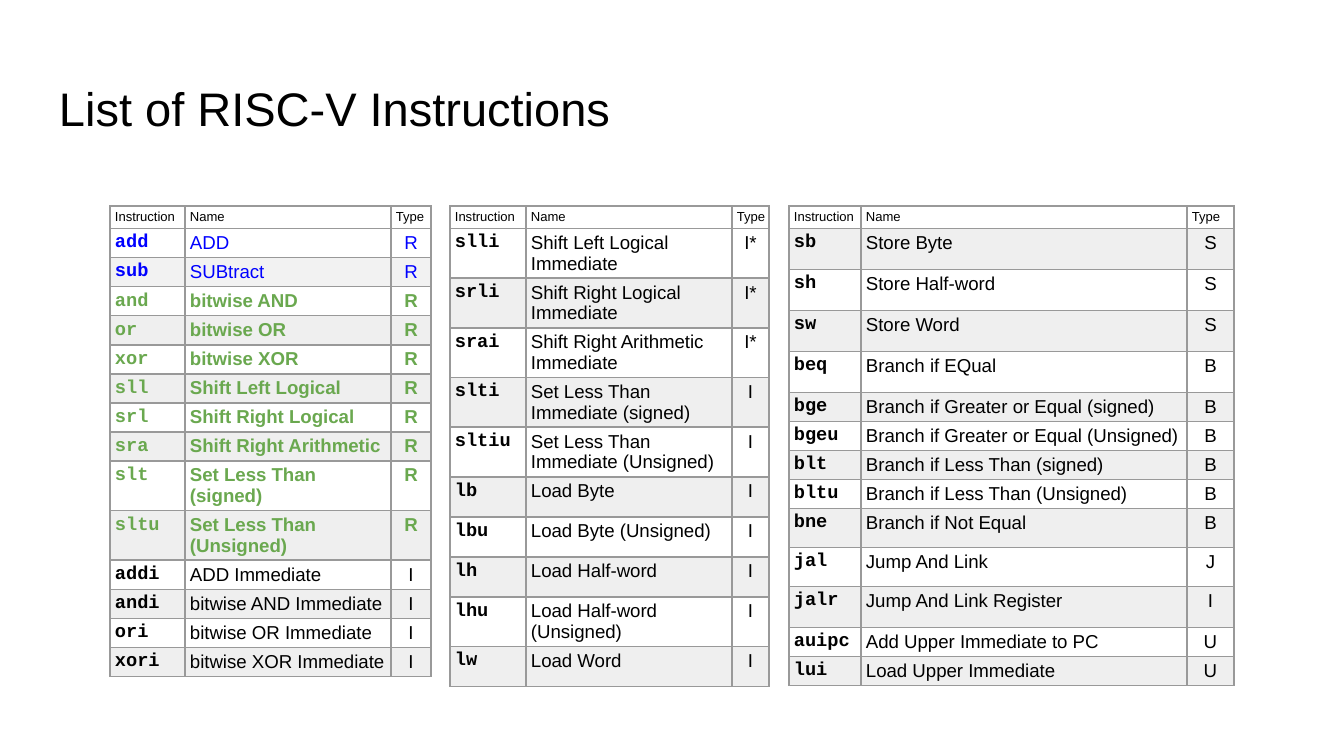
from lxml import etree
from pptx import Presentation
from pptx.dml.color import RGBColor
from pptx.enum.text import MSO_ANCHOR, PP_ALIGN
from pptx.oxml.ns import qn
from pptx.util import Emu, Pt

LEFT, CENTER = PP_ALIGN.LEFT, PP_ALIGN.CENTER
TOP, MIDDLE = MSO_ANCHOR.TOP, MSO_ANCHOR.MIDDLE
PX = 914400 / 134.4

# Content
TITLE = "List of RISC-V Instructions"
HEADINGS = ("Instruction", "Name", "Type")

ARITHMETIC = [
    ("add", "ADD", "R"),
    ("sub", "SUBtract", "R"),
]
LOGIC = [
    ("and", "bitwise AND", "R"),
    ("or", "bitwise OR", "R"),
    ("xor", "bitwise XOR", "R"),
    ("sll", "Shift Left Logical", "R"),
    ("srl", "Shift Right Logical", "R"),
    ("sra", "Shift Right Arithmetic", "R"),
    ("slt", "Set Less Than (signed)", "R"),
    ("sltu", "Set Less Than (Unsigned)", "R"),
]
IMMEDIATE = [
    ("addi", "ADD Immediate", "I"),
    ("andi", "bitwise AND Immediate", "I"),
    ("ori", "bitwise OR Immediate", "I"),
    ("xori", "bitwise XOR Immediate", "I"),
]
SHIFT_AND_LOAD = [
    ("slli", "Shift Left Logical Immediate", "I*"),
    ("srli", "Shift Right Logical Immediate", "I*"),
    ("srai", "Shift Right Arithmetic Immediate", "I*"),
    ("slti", "Set Less Than Immediate (signed)", "I"),
    ("sltiu", "Set Less Than Immediate (Unsigned)", "I"),
    ("lb", "Load Byte", "I"),
    ("lbu", "Load Byte (Unsigned)", "I"),
    ("lh", "Load Half-word", "I"),
    ("lhu", "Load Half-word (Unsigned)", "I"),
    ("lw", "Load Word", "I"),
]
STORE_AND_JUMP = [
    ("sb", "Store Byte", "S"),
    ("sh", "Store Half-word", "S"),
    ("sw", "Store Word", "S"),
    ("beq", "Branch if EQual", "B"),
    ("bge", "Branch if Greater or Equal (signed)", "B"),
    ("bgeu", "Branch if Greater or Equal (Unsigned)", "B"),
    ("blt", "Branch if Less Than (signed)", "B"),
    ("bltu", "Branch if Less Than (Unsigned)", "B"),
    ("bne", "Branch if Not Equal", "B"),
    ("jal", "Jump And Link", "J"),
    ("jalr", "Jump And Link Register", "I"),
    ("auipc", "Add Upper Immediate to PC", "U"),
    ("lui", "Load Upper Immediate", "U"),
]

# Look
COLORS = {"black": "000000", "blue": "0000FF", "green": "6AA84F",
          "border": "999999", "band": "EFEFEF", "blue_band": "F2F2F2"}
STYLES = {
    "plain": {"color": "black", "bold": False, "band": "band"},
    "blue": {"color": "blue", "bold": False, "band": "blue_band"},
    "green": {"color": "green", "bold": True, "band": "band"},
}

# Layout in px; rows grow when their text needs more height
TABLE_TOP, HEADER_HEIGHT = 206, 19
SHORT, TALL = 26, 40
TABLES = [
    {"left": 110, "columns": (75, 206, 40), "first_band": 1,
     "groups": [("blue", ARITHMETIC), ("green", LOGIC), ("plain", IMMEDIATE)],
     "heights": [SHORT] * 14},
    {"left": 450, "columns": (76, 206, 37), "first_band": 1,
     "groups": [("plain", SHIFT_AND_LOAD)],
     "heights": [TALL] * 10},
    {"left": 789, "columns": (72, 326, 47), "first_band": 0,
     "groups": [("plain", STORE_AND_JUMP)],
     "heights": [41] * 4 + [SHORT] * 4 + [39, 39, 41] + [SHORT] * 2},
]


def px(length):
    return Emu(round(length * PX))


def write(frame, text, size=10, font="Arial", color="black", bold=False, align=LEFT):
    paragraph = frame.paragraphs[0]
    paragraph.alignment = align
    run = paragraph.add_run()
    run.text = text
    run.font.size = Pt(size)
    run.font.name = font
    run.font.bold = bold
    run.font.color.rgb = RGBColor.from_string(COLORS[color])


def format_cell(cell, band=None, anchor=TOP, side_margins=(5, 3)):
    cell.margin_left, cell.margin_right = map(px, side_margins)
    cell.margin_top = cell.margin_bottom = px(4)
    cell.vertical_anchor = anchor
    if band:
        cell.fill.solid()
        cell.fill.fore_color.rgb = RGBColor.from_string(COLORS[band])
    else:
        cell.fill.background()
    # Borders come before the fill in the cell properties
    properties = cell._tc.get_or_add_tcPr()
    for position, side in enumerate(("a:lnL", "a:lnR", "a:lnT", "a:lnB")):
        line = etree.Element(qn(side), w=str(Pt(1)))
        fill = etree.SubElement(line, qn("a:solidFill"))
        etree.SubElement(fill, qn("a:srgbClr"), val=COLORS["border"])
        properties.insert(position, line)


def add_instructions(slide, left, columns, first_band, groups, heights):
    entries = [(STYLES[style], entry) for style, group in groups for entry in group]
    all_heights = [HEADER_HEIGHT] + heights
    table = slide.shapes.add_table(
        len(all_heights), len(columns), px(left), px(TABLE_TOP),
        px(sum(columns)), px(sum(all_heights))).table
    table.first_row = table.horz_banding = False
    for column, width in zip(table.columns, columns):
        column.width = px(width)
    for row, height in zip(table.rows, all_heights):
        row.height = px(height)

    # Header
    for index, heading in enumerate(HEADINGS):
        cell = table.cell(0, index)
        format_cell(cell, anchor=MIDDLE)
        write(cell.text_frame, heading, size=7)

    # Instructions, every second row shaded
    for index, (style, (instruction, name, kind)) in enumerate(entries):
        band = style["band"] if index % 2 == first_band else None
        color, bold = style["color"], style["bold"]
        code_cell, name_cell, type_cell = table.rows[index + 1].cells
        format_cell(code_cell, band)
        format_cell(name_cell, band)
        format_cell(type_cell, band, side_margins=(0, 0))
        write(code_cell.text_frame, instruction, font="Courier New", color=color, bold=True)
        write(name_cell.text_frame, name, color=color, bold=bold)
        write(type_cell.text_frame, kind, color=color, bold=bold, align=CENTER)


def main():
    presentation = Presentation()
    presentation.slide_width, presentation.slide_height = px(1344), px(756)
    slide = presentation.slides.add_slide(presentation.slide_layouts[5])

    # Title
    title = slide.shapes.title
    title.left, title.top, title.width, title.height = map(px, (46, 66, 1252, 84))
    frame = title.text_frame
    frame.margin_left = frame.margin_right = px(13)
    frame.margin_top = frame.margin_bottom = px(13)
    frame.vertical_anchor = MIDDLE
    write(frame, TITLE, size=25.2)

    # Tables
    for layout in TABLES:
        add_instructions(slide, **layout)
    presentation.save("out.pptx")


if __name__ == "__main__":
    main()
